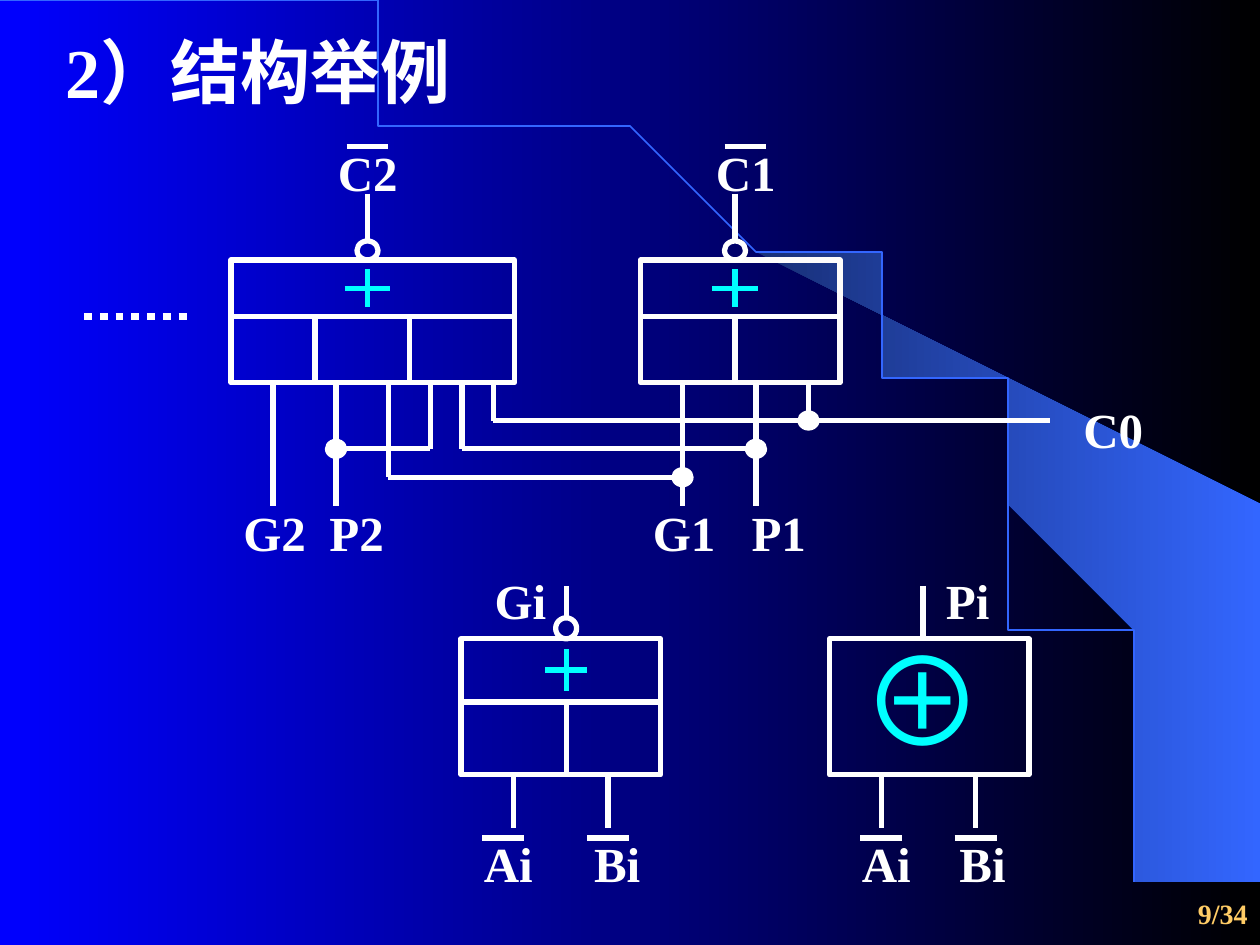
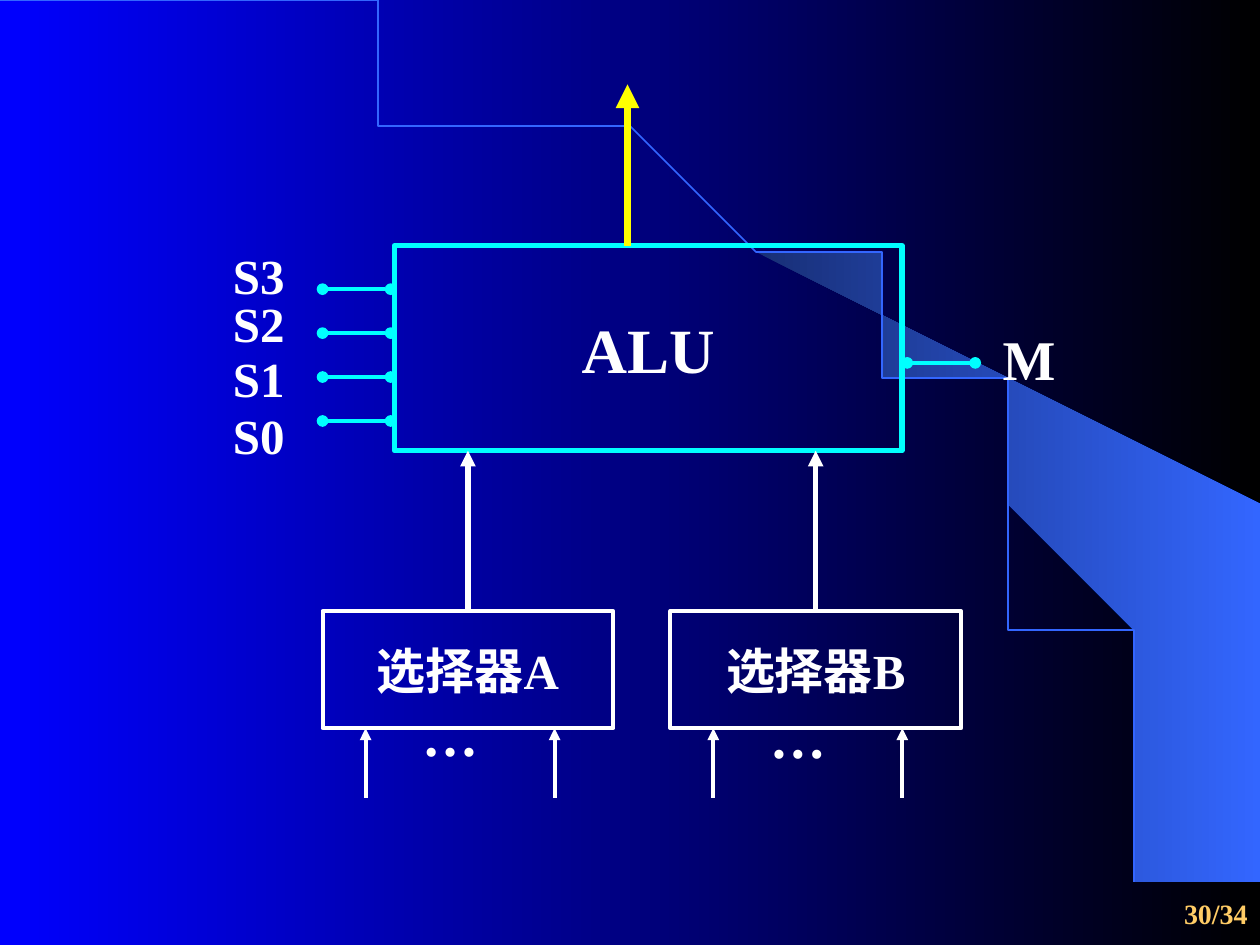
from dataclasses import dataclass
from typing import NamedTuple

from lxml import etree
from pptx import Presentation
from pptx.dml.color import RGBColor
from pptx.enum.dml import MSO_LINE
from pptx.enum.shapes import MSO_CONNECTOR, MSO_SHAPE
from pptx.enum.text import MSO_ANCHOR, PP_ALIGN
from pptx.oxml.ns import qn
from pptx.util import Inches, Pt

RECT, OVAL = MSO_SHAPE.RECTANGLE, MSO_SHAPE.OVAL
STRAIGHT, DOTS = MSO_CONNECTOR.STRAIGHT, MSO_LINE.ROUND_DOT
LEFT, CENTER, RIGHT = PP_ALIGN.LEFT, PP_ALIGN.CENTER, PP_ALIGN.RIGHT
TOP, MIDDLE = MSO_ANCHOR.TOP, MSO_ANCHOR.MIDDLE

# The slide is a grid of 120 columns by 100 rows
WIDTH, HEIGHT = Inches(10), Inches(7.5)
COL, ROW = WIDTH / 120, HEIGHT / 100


@dataclass(frozen=True)
class Theme:
    blue: str = "0000FF"
    black: str = "000000"
    navy: str = "182F76"
    sky: str = "3366FF"
    white: str = "FFFFFF"
    pale: str = "FDFBFB"
    cyan: str = "00FFFF"
    yellow: str = "FFFF00"
    gold: str = "FFCC66"
    latin: str = "Times New Roman"
    asian: str = "Noto Sans CJK SC"
    page: int = 16
    label: int = 28
    big: int = 32
    unit: int = 36
    title: int = 40
    sign: int = 70
    hair: float = 0.75
    edge: float = 1
    thin: float = 2.25
    pen: float = 3
    thick: float = 4.5


T = Theme()


class Box(NamedTuple):
    x: float
    y: float
    w: float
    h: float


class Wire(NamedTuple):
    x1: float
    y1: float
    x2: float
    y2: float
    color: str = T.white
    width: float = T.pen
    head: str = ""
    tail: str = ""


class Label(NamedTuple):
    text: str
    x: float
    y: float
    size: int = T.label


class Gate(NamedTuple):
    box: Box
    split: float  # row of the bar below the plus sign
    cells: tuple  # columns of the dividers
    stem: float  # column of the output
    top: float  # row where the output begins
    ring: float  # height of the bubble
    plus: float  # row of the plus sign
    arms: tuple  # half width and half height of the plus sign
    color: str = T.white


def rgb(code: str) -> RGBColor:
    return RGBColor.from_string(code)


def fade(fill, first: str, last: str) -> None:
    fill.gradient()
    fill.gradient_angle = 0
    for stop, code in zip(fill.gradient_stops, (first, last)):
        stop.color.rgb = rgb(code)


def write(frame, text: str, *, size: int = T.label, color: str = T.white,
          font: str = T.latin, bold: bool = True, align=LEFT, anchor=TOP,
          wrap: bool = True, space: float = 1, inset: tuple = (0.1, 0.05)) -> None:
    frame.word_wrap = wrap
    frame.vertical_anchor = anchor
    frame.margin_left = frame.margin_right = Inches(inset[0])
    frame.margin_top = frame.margin_bottom = Inches(inset[1])
    para = frame.paragraphs[0]
    para.alignment, para.line_spacing = align, space
    run = para.add_run()
    run.text = text
    run.font.size, run.font.bold, run.font.name = Pt(size), bold, font
    run.font.color.rgb = rgb(color)
    east = etree.SubElement(run.font._element, qn("a:ea"))
    east.set("typeface", T.asian)


def place(box: Box) -> tuple:
    return (round(box.x * COL), round(box.y * ROW),
            round(box.w * COL), round(box.h * ROW))


def note(slide, text: str, box: Box, **style) -> None:
    write(slide.shapes.add_textbox(*place(box)).text_frame, text, **style)


def tag(slide, item: Label) -> None:
    note(slide, item.text, Box(item.x, item.y, 11, 7.6), size=item.size)


def shape(slide, kind, box: Box, color: str = T.white,
          width: float = T.pen, solid: bool = False):
    item = slide.shapes.add_shape(kind, *place(box))
    item.shadow.inherit = False
    if solid:
        item.fill.solid()
        item.fill.fore_color.rgb = rgb(color)
    else:
        item.fill.background()
    item.line.color.rgb, item.line.width = rgb(color), Pt(width)
    return item


def draw(slide, wire: Wire, dash=None):
    line = slide.shapes.add_connector(
        STRAIGHT, round(wire.x1 * COL), round(wire.y1 * ROW),
        round(wire.x2 * COL), round(wire.y2 * ROW))
    line.line.color.rgb, line.line.width = rgb(wire.color), Pt(wire.width)
    if dash:
        line.line.dash_style = dash
    props = line.element.spPr
    for name, end in (("a:headEnd", wire.head), ("a:tailEnd", wire.tail)):
        if end:
            etree.SubElement(props.find(qn("a:ln")), qn(name)).set("type", end)
    etree.SubElement(props, qn("a:effectLst"))
    return line


def outline(slide, spots: list, close: bool):
    """Freeform through points given in inches."""
    path = slide.shapes.build_freeform(*spots[0], scale=Inches(1))
    path.add_line_segments(spots[1:], close=close)
    item = path.convert_to_shape()
    item.shadow.inherit = False
    return item


# Parts that both slides share
FAN = [(9.2, 7.48), (9.99, 7.49), (9.99, 4.23), (5.89, 1.73), (6.24, 1.99),
       (6.53, 2.22), (6.85, 2.5), (7.16, 2.8), (7.62, 3.3), (8.03, 3.84),
       (8.32, 4.31), (8.58, 4.79), (8.78, 5.28), (8.93, 5.72), (9.03, 6.09),
       (9.13, 6.56), (9.17, 6.96)]


def curve(steps: int = 80) -> list:
    """Points of the cubic arc from the top left to the bottom right."""
    spots = []
    for i in range(steps + 1):
        t = i / steps
        u = 1 - t
        spots.append((3 * u * u * t * 5.08 + (3 * u * t * t + t ** 3) * 9.2,
                      3 * u * t * t * 3.35 + t ** 3 * 7.49))
    return spots


def start(deck, page: str):
    slide = deck.slides.add_slide(deck.slide_layouts[6])
    fade(slide.background.fill, T.blue, T.black)
    fan = outline(slide, FAN, True)
    fade(fan.fill, T.navy, T.sky)
    fan.line.fill.background()
    arc = outline(slide, curve(), False)
    arc.fill.background()
    arc.line.color.rgb, arc.line.width = rgb(T.sky), Pt(T.edge)
    note(slide, page, Box(90.24, 93.33, 29.76, 6.67), size=T.page,
         color=T.gold, align=RIGHT, anchor=MIDDLE)
    return slide


# Carry logic
GATES = (
    Gate(Box(22, 27.5, 27, 13), 33.5, (30, 39), 35, 20.5, 2, 30.5, (2.17, 2)),
    Gate(Box(61, 27.5, 19, 13), 33.5, (70,), 70, 20.5, 2, 30.5, (2.17, 2), T.pale),
    Gate(Box(43.92, 67.6, 19, 14.4), 74.3, (53.92,), 53.92, 62, 2.22, 70.9, (2, 2.2)),
)
PINS = ((26, 53.5), (32, 53.5), (37, 50.5), (41, 47.5), (44, 47.5), (47, 44.5),
        (77, 44.5), (72, 53.5), (65, 53.5))  # column, last row
RAILS = ((47, 100, 44.5), (44, 72, 47.5), (37, 65, 50.5), (32, 41, 47.5))
KNOTS = ((77, 44.5), (32, 47.5), (65, 50.5), (72, 47.5))
LEGS = (48.92, 57.92, 83.92, 92.92)
BARS = ((33, 15.5), (69, 15.5), (45.92, 88.67), (55.92, 88.67),
        (81.92, 88.67), (90.92, 88.67))
NAMES = (
    Label("C2", 31, 14.4), Label("C1", 67, 14.4), Label("C0", 102, 41.6),
    Label("G2", 22, 52.5), Label("P2", 30.2, 52.5),
    Label("G1", 61, 52.5), Label("P1", 70.4, 52.5),
    Label("Gi", 45.92, 59.73), Label("Pi", 88.92, 59.73),
    Label("Ai", 44.9, 87.6), Label("Bi", 55.4, 87.6),
    Label("Ai", 80.9, 87.6), Label("Bi", 90.2, 87.6),
)


def gate(slide, g: Gate) -> None:
    base = g.box.y + g.box.h
    shape(slide, RECT, g.box, g.color)
    draw(slide, Wire(g.box.x, g.split, g.box.x + g.box.w, g.split))
    for x in g.cells:
        draw(slide, Wire(x, g.split, x, base))
    draw(slide, Wire(g.stem, g.top, g.stem, g.box.y - g.ring))
    shape(slide, OVAL, Box(g.stem - 1, g.box.y - g.ring, 2, g.ring))
    dx, dy = g.arms
    draw(slide, Wire(g.stem - dx, g.plus, g.stem + dx, g.plus, T.cyan))
    draw(slide, Wire(g.stem, g.plus - dy, g.stem, g.plus + dy, T.cyan))


def carry(deck) -> None:
    slide = start(deck, "9/34")
    note(slide, "2）结构举例", Box(5.1, 4.8, 60, 7.6), size=T.title, space=0.7)
    for g in GATES:
        gate(slide, g)
    # Wiring between the two carry gates
    for x, end in PINS:
        draw(slide, Wire(x, 40.5, x, end))
    for x1, x2, y in RAILS:
        draw(slide, Wire(x1, y, x2, y))
    for x, y in KNOTS:
        shape(slide, OVAL, Box(x - 1, y - 1, 2, 2), width=T.hair, solid=True)
    draw(slide, Wire(8, 33.5, 18, 33.5, width=T.thick), DOTS)
    # Exclusive-or gate
    shape(slide, RECT, Box(79, 67.6, 19, 14.4))
    draw(slide, Wire(87.92, 62, 87.92, 67.6))
    note(slide, "⊕", Box(82.08, 66.13, 11.67, 15.6), size=T.sign, color=T.cyan,
         font=T.asian, bold=False, wrap=False, inset=(0, 0))
    # Inputs, negation bars and names
    for x in LEGS:
        draw(slide, Wire(x, 82, x, 87.6))
    for x, y in BARS:
        draw(slide, Wire(x, y, x + 4, y))
    for item in NAMES:
        tag(slide, item)


# Arithmetic unit
ALU = Box(37.56, 26, 48.36, 21.7)
MODES = (("S3", 25.33), ("S2", 30.4), ("S1", 36.27), ("S0", 42.27))
PICKS = (("选择器A", 30.72, 73.47), ("选择器B", 63.84, 73.73))


def unit(deck) -> None:
    slide = start(deck, "30/34")
    core = shape(slide, RECT, ALU, T.cyan)
    write(core.text_frame, "ALU", size=T.unit, align=CENTER, anchor=MIDDLE, wrap=False)
    draw(slide, Wire(59.76, 26, 59.76, 8.93, T.yellow, T.thick, tail="triangle"))
    # Control lines
    lead = (T.cyan, T.thin, "oval", "oval")
    for i, (name, y) in enumerate(MODES):
        row = 30.6 + 4.65 * i
        draw(slide, Wire(30.72, row, 37.2, row, *lead))
        tag(slide, Label(name, 21, y))
    draw(slide, Wire(86.4, 38.4, 92.88, 38.4, *lead))
    tag(slide, Label("M", 94.32, 33.73, T.big))
    # Selectors with their inputs
    for name, x, y in PICKS:
        pick = shape(slide, RECT, Box(x, 64.67, 27.7, 12.4), width=T.thin)
        write(pick.text_frame, name, align=CENTER, anchor=MIDDLE, wrap=False)
        mid = x + 27.7 / 2
        feed = draw(slide, Wire(mid, 64.67, mid, ALU.y + ALU.h, tail="triangle"))
        feed.begin_connect(pick, 0)
        for dx in (4.1, 22.1):
            draw(slide, Wire(x + dx, 84.4, x + dx, 77.07, width=T.thin, tail="triangle"))
        tag(slide, Label("…", x + 8.3, y, T.big))


def main() -> None:
    deck = Presentation()
    deck.slide_width, deck.slide_height = WIDTH, HEIGHT
    carry(deck)
    unit(deck)
    deck.save("out.pptx")


if __name__ == "__main__":
    main()
